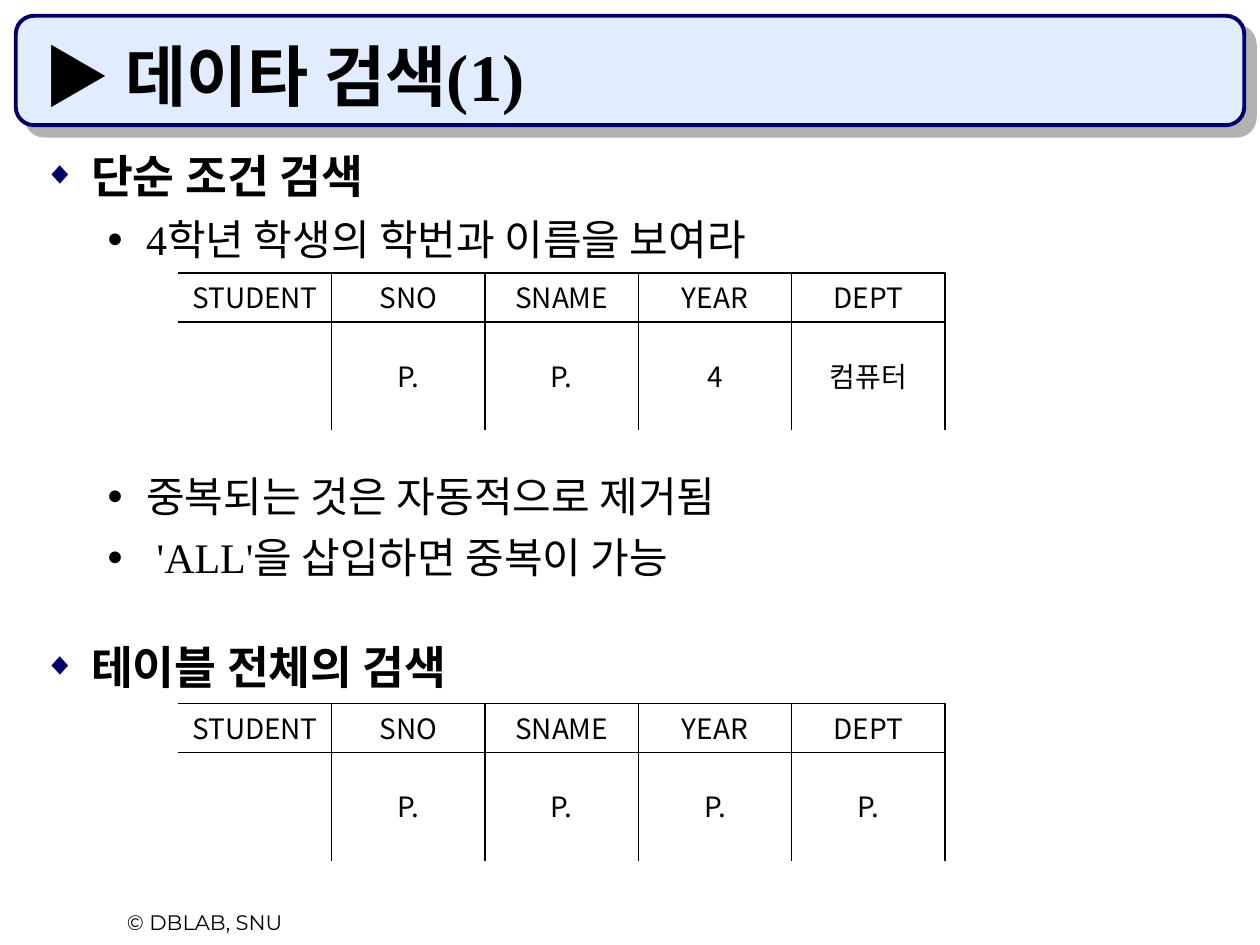
import pptx
import pptx.util
from pptx.dml.color import RGBColor
from pptx.enum.shapes import MSO_CONNECTOR, MSO_SHAPE
from pptx.enum.text import MSO_ANCHOR, PP_ALIGN
from pptx.oxml import parse_xml
from pptx.oxml.ns import nsdecls

Pt = pptx.util.Pt

COLORS = {"navy": "000066", "band": "E1ECFF", "shadow": "B2B2B2", "ink": "000000"}
SERIF, SANS, FOOT = "Times New Roman", "Noto Sans CJK KR", "Montserrat"

# per level: size, bold, line height, left margin, hanging, bullet, bullet colour, bullet percent
LEVELS = [
    (26, True, 34, 27, 27, "◆", "navy", 70),
    (24, False, 29, 58.5, 22.5, "●", "ink", 65),
]
# level, space before, text
BODY = [
    (0, 0, "단순 조건 검색"),
    (1, 6, "4학년 학생의 학번과 이름을 보여라"),
    (1, 118, "중복되는 것은 자동적으로 제거됨"),
    (1, 6, " 'ALL'을 삽입하면 중복이 가능"),
    (0, 29.5, "테이블 전체의 검색"),
]
HEADERS = ["STUDENT", "SNO", "SNAME", "YEAR", "DEPT"]


def rgb(name):
    return RGBColor.from_string(COLORS[name])


def add_run(p, text, size, font, bold=False):
    r = p.add_run()
    r.text = text
    r.font.size = Pt(size)
    r.font.bold = bold
    r.font.name = font
    r.font.color.rgb = rgb("ink")
    r.font._element.append(parse_xml(f'<a:ea {nsdecls("a")} typeface="{SANS}"/>'))


def add_box(shapes, left, top, width, height, anchor=MSO_ANCHOR.TOP, wrap=True):
    """Add a text box and return its text frame."""
    box = shapes.add_textbox(Pt(left), Pt(top), Pt(width), Pt(height))
    tf = box.text_frame
    tf.word_wrap = wrap
    tf.vertical_anchor = anchor
    return tf


def add_band(s, left, top, width, height):
    sp = s.shapes.add_shape(MSO_SHAPE.ROUNDED_RECTANGLE, Pt(left), Pt(top), Pt(width), Pt(height))
    sp.fill.solid()
    sp.fill.fore_color.rgb = rgb("band")
    sp.line.color.rgb = rgb("navy")
    sp.line.width = Pt(2.25)
    sp._element.spPr.append(parse_xml(
        f'<a:effectLst {nsdecls("a")}><a:outerShdw dist="{Pt(8.5)}" dir="2700000" algn="ctr" '
        f'rotWithShape="0"><a:srgbClr val="{COLORS["shadow"]}"/></a:outerShdw></a:effectLst>'))


def add_title(s, left, top, width, height):
    tf = add_box(s.shapes, left, top, width, height, MSO_ANCHOR.BOTTOM)
    tf.margin_bottom = Pt(0.5)
    p = tf.paragraphs[0]
    p.line_spacing = Pt(42)
    add_run(p, "▶ 데이타 검색(1)", 38, SERIF, True)


def add_body(s, left, top, width, height):
    tf = add_box(s.shapes, left, top, width, height)
    for i, (level, before, text) in enumerate(BODY):
        size, bold, line, margin, hanging, bullet, color, percent = LEVELS[level]
        p = tf.paragraphs[0] if i == 0 else tf.add_paragraph()
        p.level = level
        p.line_spacing = Pt(line)
        p.space_before = Pt(before)
        pPr = p._p.get_or_add_pPr()
        pPr.set("marL", str(Pt(margin)))
        pPr.set("indent", str(-Pt(hanging)))
        for tag in (f'<a:buClr {nsdecls("a")}><a:srgbClr val="{COLORS[color]}"/></a:buClr>',
                    f'<a:buSzPct {nsdecls("a")} val="{percent * 1000}"/>',
                    f'<a:buFont {nsdecls("a")} typeface="{SERIF}"/>',
                    f'<a:buChar {nsdecls("a")} char="{bullet}"/>'):
            pPr.append(parse_xml(tag))
        add_run(p, text, size, SERIF, bold)


def add_line(shapes, x1, y1, x2, y2):
    line = shapes.add_connector(MSO_CONNECTOR.STRAIGHT, Pt(x1), Pt(y1), Pt(x2), Pt(y2))
    line.line.color.rgb = rgb("ink")
    line.line.width = Pt(0.75)
    line._element.spPr.append(parse_xml(f'<a:effectLst {nsdecls("a")}/>'))


def add_cell(shapes, text, left, top, width, height, framed=False):
    tf = add_box(shapes, left, top, width, height, MSO_ANCHOR.MIDDLE, wrap=False)
    p = tf.paragraphs[0]
    p.alignment = PP_ALIGN.CENTER
    add_run(p, text, 16, SANS)
    if framed:
        frame = shapes[-1].line
        frame.color.rgb = rgb("ink")
        frame.width = Pt(0.75)


def add_query_grid(s, values, left, top, width, head_height, row_height):
    """Skeleton table: framed column heads over one open-ended row of conditions."""
    shapes = s.shapes.add_group_shape().shapes
    col = width / len(HEADERS)
    row_top = top + head_height
    for i, header in enumerate(HEADERS):
        add_cell(shapes, header, left + i * col, top, col, head_height, framed=i > 0)
    for i, value in enumerate(values, 1):
        add_cell(shapes, value, left + i * col, row_top, col, row_height)
    for i in range(1, len(HEADERS) + 1):
        x = left + i * col
        add_line(shapes, x, row_top, x, row_top + row_height)
    for y in (top, row_top):
        add_line(shapes, left, y, left + col, y)


def add_footer(s, left, top, width, height):
    p = add_box(s.shapes, left, top, width, height).paragraphs[0]
    p.alignment = PP_ALIGN.CENTER
    add_run(p, "© DBLAB, SNU", 12, FOOT)


def main():
    prs = pptx.Presentation()
    prs.slide_width, prs.slide_height = Pt(720), Pt(540)
    s = prs.slides.add_slide(prs.slide_layouts[6])
    add_band(s, 9, 9, 702, 62.5)
    add_footer(s, 30, 516, 174, 22)
    add_title(s, 18, 18, 678, 48)
    add_body(s, 18, 78, 678, 420)
    add_query_grid(s, ["P.", "P.", "4", "컴퓨터"], 102, 156, 438, 28, 62)
    add_query_grid(s, ["P."] * 4, 102, 402, 438, 28, 62)
    prs.save("out.pptx")


if __name__ == "__main__":
    main()
